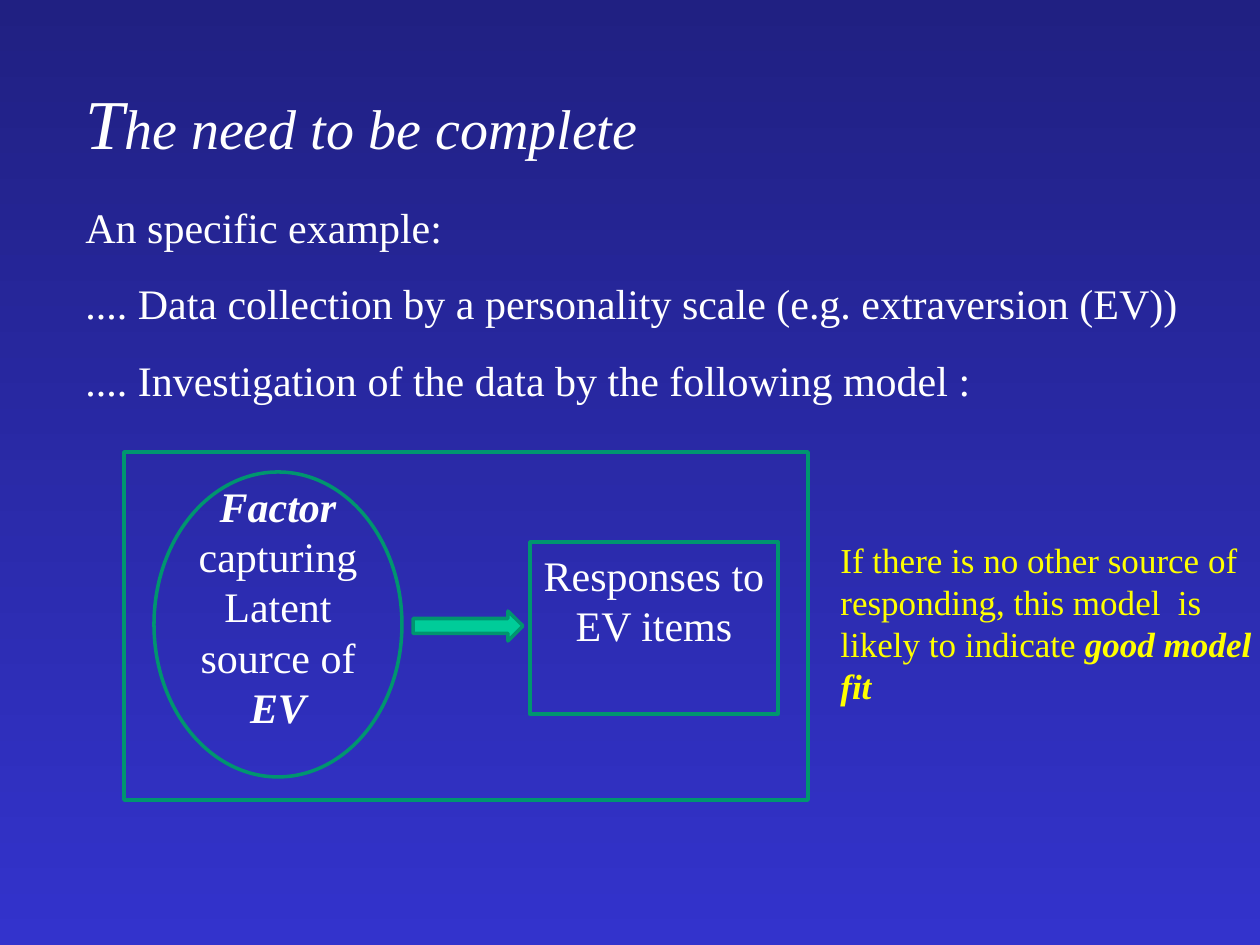
from dataclasses import dataclass

from pptx import Presentation
from pptx.dml.color import RGBColor
from pptx.enum.shapes import MSO_SHAPE
from pptx.enum.text import MSO_AUTO_SIZE, PP_ALIGN
from pptx.slide import Slide
from pptx.util import Emu, Pt

PX = 914400 / 126
FONT = "Times New Roman"
COLORS = {
    "top": "202082",
    "bottom": "3333CC",
    "text": "FFFFFF",
    "note": "FFFF00",
    "outline": "00956F",
    "arrow": "00CC99",
}
ELLIPSE, RECTANGLE, ARROW = MSO_SHAPE.OVAL, MSO_SHAPE.RECTANGLE, MSO_SHAPE.RIGHT_ARROW
LEFT, CENTER = PP_ALIGN.LEFT, PP_ALIGN.CENTER
GROW = MSO_AUTO_SIZE.SHAPE_TO_FIT_TEXT

Box = tuple[int, int, int, int]


@dataclass(frozen=True)
class Words:
    text: str
    strong: bool = False
    size: int | None = None


@dataclass(frozen=True)
class TextBlock:
    box: Box
    paragraphs: list[list[Words]]
    size: int = 24
    color: str = "text"
    align: PP_ALIGN = LEFT
    italic: bool = False
    gap: int = 0


@dataclass(frozen=True)
class Outline:
    box: Box
    kind: MSO_SHAPE
    fill: str | None = None


RESPONSES_LEFT, RESPONSES_WIDTH = 530, 248

ELEMENTS: list[TextBlock | Outline] = [
    TextBlock(
        (73, 195, 1187, 217),
        [
            [Words("An specific example:")],
            [Words(".... Data collection by a personality scale (e.g. extraversion (EV))")],
            [Words(".... Investigation of the data by the following model :")],
        ],
        gap=15,
    ),
    TextBlock(
        (73, 73, 1113, 97),
        [[Words("T", size=40), Words("he need to be complete")]],
        size=32,
        italic=True,
    ),
    TextBlock(
        (828, 532, 472, 181),
        [[
            Words("If there is no other source of responding, this model  is likely to indicate "),
            Words("good model fit", strong=True),
        ]],
        size=20,
        color="note",
    ),
    Outline((154, 472, 248, 305), ELLIPSE),
    TextBlock(
        (174, 474, 208, 265),
        [[
            Words("Factor ", strong=True),
            Words("capturing Latent source of "),
            Words("EV", strong=True),
        ]],
        align=CENTER,
    ),
    Outline((RESPONSES_LEFT, 542, RESPONSES_WIDTH, 172), RECTANGLE),
    Outline((413, 611, 110, 30), ARROW, fill="arrow"),
    TextBlock(
        (RESPONSES_LEFT, 543, RESPONSES_WIDTH, 113),
        [[Words("Responses to EV items")]],
        align=CENTER,
    ),
    Outline((124, 452, 684, 348), RECTANGLE),
]


def px(length: int) -> Emu:
    return Emu(round(length * PX))


def rgb(name: str) -> RGBColor:
    return RGBColor.from_string(COLORS[name])


def paint_background(slide: Slide) -> None:
    fill = slide.background.fill
    fill.gradient()
    fill.gradient_angle = 270
    for stop, name in zip(fill.gradient_stops, ("top", "bottom")):
        stop.color.rgb = rgb(name)


def draw_text(slide: Slide, block: TextBlock) -> None:
    frame = slide.shapes.add_textbox(*map(px, block.box)).text_frame
    frame.word_wrap = True
    frame.auto_size = GROW
    for index, content in enumerate(block.paragraphs):
        paragraph = frame.add_paragraph() if index else frame.paragraphs[0]
        paragraph.alignment = block.align
        if index:
            paragraph.space_before = Pt(block.gap)
        font = paragraph.font
        font.name, font.size, font.italic = FONT, Pt(block.size), block.italic
        font.color.rgb = rgb(block.color)
        for words in content:
            run = paragraph.add_run()
            run.text = words.text
            if words.strong:
                run.font.bold = run.font.italic = True
            if words.size:
                run.font.size = Pt(words.size)


def draw_outline(slide: Slide, outline: Outline) -> None:
    shape = slide.shapes.add_shape(outline.kind, *map(px, outline.box))
    shape.shadow.inherit = False
    shape.line.color.rgb = rgb("outline")
    shape.line.width = Pt(2)
    if outline.fill:
        shape.fill.solid()
        shape.fill.fore_color.rgb = rgb(outline.fill)
    else:
        shape.fill.background()


def main() -> None:
    deck = Presentation()
    deck.slide_width, deck.slide_height = px(1260), px(945)
    slide = deck.slides.add_slide(deck.slide_layouts[6])
    paint_background(slide)
    for element in ELEMENTS:
        if isinstance(element, TextBlock):
            draw_text(slide, element)
        else:
            draw_outline(slide, element)
    deck.save("out.pptx")


if __name__ == "__main__":
    main()
